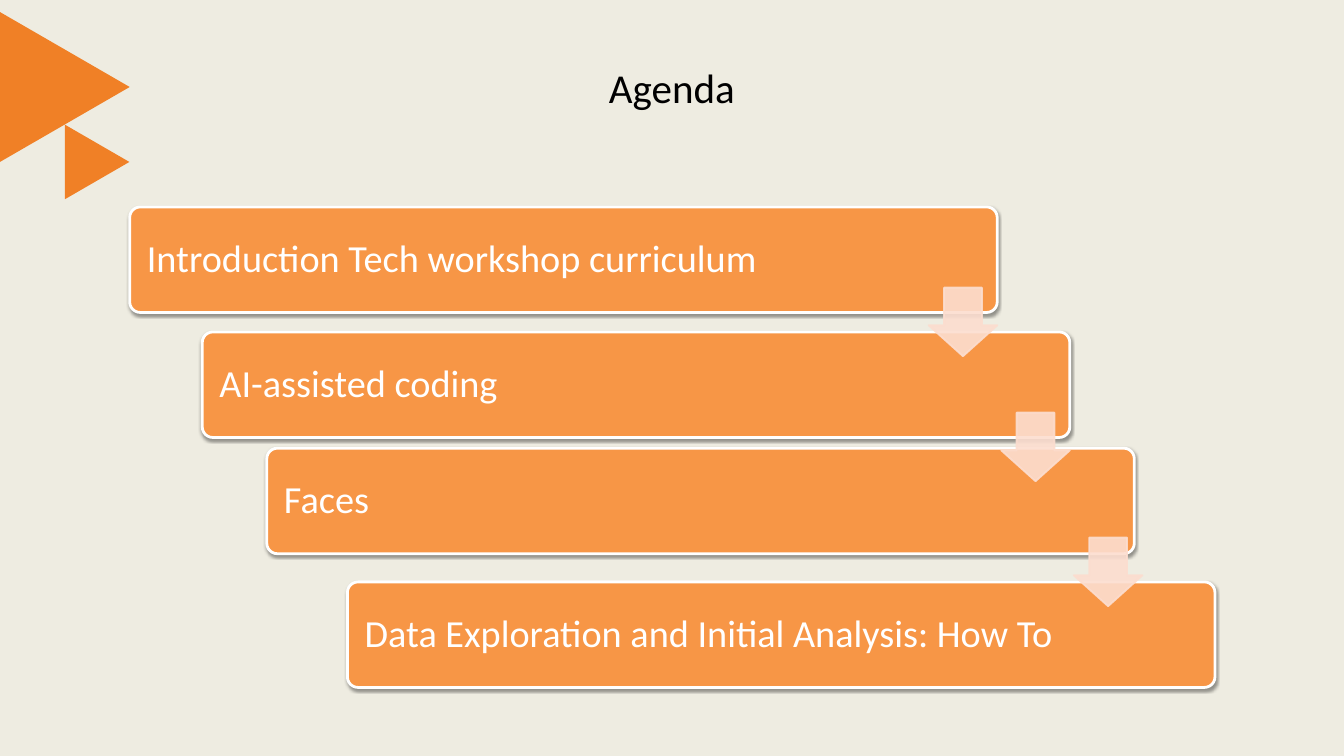
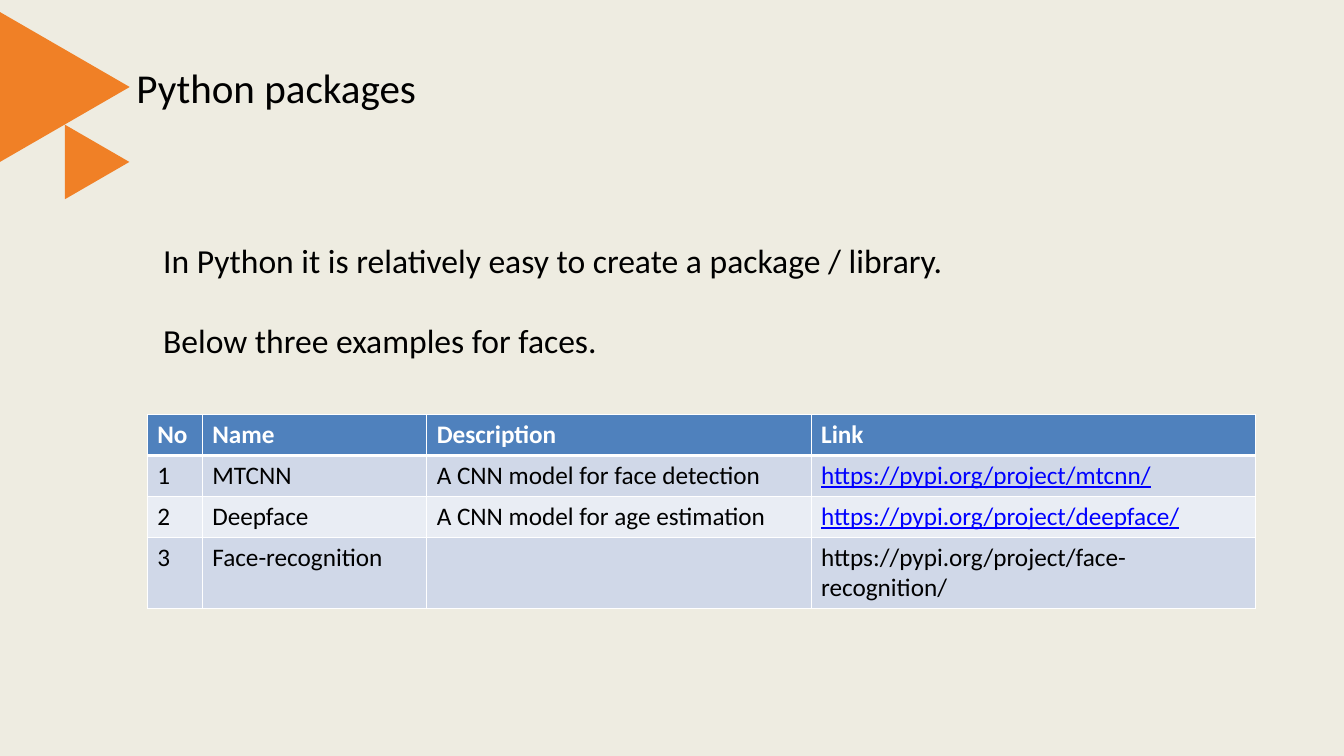
from lxml import etree
from pptx import Presentation
from pptx import util as u
from pptx.dml.color import RGBColor
from pptx.enum import shapes, text
from pptx.oxml import ns

FONT = "Calibri"
BLACK = RGBColor(0x00, 0x00, 0x00)
WHITE = RGBColor(0xFF, 0xFF, 0xFF)
BEIGE = RGBColor(0xEE, 0xEC, 0xE1)
CORNER_ORANGE = RGBColor(0xF0, 0x80, 0x26)
STEP_ORANGE = RGBColor(0xF7, 0x96, 0x46)
ARROW_PEACH = RGBColor(0xFC, 0xDD, 0xCF)
HEADER_BLUE = RGBColor(0x4F, 0x81, 0xBD)
BAND_DARK = RGBColor(0xD0, 0xD8, 0xE8)
BAND_LIGHT = RGBColor(0xE9, 0xED, 0xF4)
LINK_BLUE = RGBColor(0x00, 0x00, 0xFF)

WIDTH, HEIGHT = 20, 11.25
MARGIN = 1.93
CORNER_TRIANGLES = [(-0.15, 0.33, 2.23, 1.93), (0.89, 1.93, 1.11, 0.96)]

# Each agenda step: text and its shift from the regular staircase
AGENDA = [
    ("Introduction Tech workshop curriculum", (0, 0)),
    ("AI-assisted coding", (0, 0)),
    ("Faces", (-0.12, -0.13)),
    ("Data Exploration and Initial Analysis: How To", (0, 0)),
]
STEP_TOP, STEP_WIDTH, STEP_HEIGHT = 3.08, 12.91, 1.57
STEP_RIGHT, STEP_DOWN = 1.08, 1.86
ARROW_SIZE, ARROW_TOP = 1.02, 4.28

INTRODUCTION = [
    "In Python it is relatively easy to create a package / library.",
    "Below three examples for faces.",
]
PACKAGES = [
    ("No", "Name", "Description", "Link"),
    ("1", "MTCNN", "A CNN model for face detection", "https://pypi.org/project/mtcnn/"),
    ("2", "Deepface", "A CNN model for age estimation", "https://pypi.org/project/deepface/"),
    ("3", "Face-recognition", "", "https://pypi.org/project/face-recognition/"),
]
LINKED_ROWS = (1, 2)
COLUMN_WIDTHS = [0.82, 3.34, 5.72, 6.61]
ROW_HEIGHTS = [0.61, 0.61, 0.61, 1.05]


def inches(*lengths):
    return [u.Inches(length) for length in lengths]


def write(frame, lines, size, color=BLACK, bold=False, underline=False,
          align=text.PP_ALIGN.LEFT, gap=0, line_spacing=None):
    """Fill a text frame with one paragraph per line, gap points apart."""
    for index, line in enumerate(lines):
        paragraph = frame.paragraphs[0] if index == 0 else frame.add_paragraph()
        paragraph.alignment = align
        if index:
            paragraph.space_before = u.Pt(gap)
        if line_spacing:
            paragraph.line_spacing = line_spacing
        run = paragraph.add_run()
        run.text = line
        font = run.font
        font.name, font.size, font.bold = FONT, u.Pt(size), bold
        font.underline = underline
        font.color.rgb = color


def add_box(slide, kind, box, fill, line=None, line_width=0, adjustments=()):
    shape = slide.shapes.add_shape(kind, *inches(*box))
    shape.shadow.inherit = False
    shape.fill.solid()
    shape.fill.fore_color.rgb = fill
    if line is None:
        shape.line.fill.background()
    else:
        shape.line.color.rgb = line
        shape.line.width = u.Pt(line_width)
    for index, value in enumerate(adjustments):
        shape.adjustments[index] = value
    return shape


def set_alpha(color_element, percent):
    etree.SubElement(color_element, ns.qn("a:alpha"), val=str(percent * 1000))


def add_soft_shadow(shape):
    effects = shape._element.spPr.find(ns.qn("a:effectLst"))
    shadow = etree.SubElement(effects, ns.qn("a:outerShdw"), blurRad=str(u.Pt(3.1)),
                              dist=str(u.Pt(1.6)), dir="5400000", rotWithShape="0")
    set_alpha(etree.SubElement(shadow, ns.qn("a:srgbClr"), val=str(BLACK)), 38)


def set_borders(cell, bottom_width):
    """Draw white cell borders, ahead of the fill as the schema asks."""
    properties = cell._tc.get_or_add_tcPr()
    for index, side in enumerate(("lnL", "lnR", "lnT", "lnB")):
        width = bottom_width if side == "lnB" else 1
        border = etree.Element(ns.qn("a:" + side), w=str(u.Pt(width)))
        fill = etree.SubElement(border, ns.qn("a:solidFill"))
        etree.SubElement(fill, ns.qn("a:srgbClr"), val=str(WHITE))
        properties.insert(index, border)


def add_slide(presentation, title, align):
    slide = presentation.slides.add_slide(presentation.slide_layouts[5])
    slide.background.fill.solid()
    slide.background.fill.fore_color.rgb = BEIGE
    for box in CORNER_TRIANGLES:
        triangle = add_box(slide, shapes.MSO_SHAPE.ISOSCELES_TRIANGLE, box, CORNER_ORANGE)
        triangle.rotation = 90
    heading = slide.shapes.title
    heading.left, heading.top, heading.width, heading.height = inches(
        MARGIN, 0.67, WIDTH - 2 * MARGIN, 1.25)
    heading.text_frame.vertical_anchor = text.MSO_ANCHOR.MIDDLE
    write(heading.text_frame, [title], 44, align=align)
    return slide


def add_agenda(presentation):
    slide = add_slide(presentation, "Agenda", text.PP_ALIGN.CENTER)
    for index, (label, (shift_x, shift_y)) in enumerate(AGENDA):
        box = (MARGIN + index * STEP_RIGHT + shift_x, STEP_TOP + index * STEP_DOWN + shift_y,
               STEP_WIDTH, STEP_HEIGHT)
        step = add_box(slide, shapes.MSO_SHAPE.ROUNDED_RECTANGLE, box, STEP_ORANGE,
                       WHITE, 3, [0.1])
        add_soft_shadow(step)
        frame = step.text_frame
        frame.word_wrap = True
        frame.margin_left = frame.margin_right = u.Inches(0.21)
        frame.vertical_anchor = text.MSO_ANCHOR.MIDDLE
        write(frame, [label], 41, WHITE, line_spacing=0.9)

    first_left = MARGIN + STEP_WIDTH - ARROW_SIZE
    for index in range(len(AGENDA) - 1):
        box = (first_left + index * STEP_RIGHT, ARROW_TOP + index * STEP_DOWN,
               ARROW_SIZE, ARROW_SIZE)
        arrow = add_box(slide, shapes.MSO_SHAPE.DOWN_ARROW, box, ARROW_PEACH,
                        ARROW_PEACH, 2, [0.55, 0.45])
        for color in arrow._element.spPr.iter(ns.qn("a:srgbClr")):
            set_alpha(color, 90)


def add_packages(presentation):
    slide = add_slide(presentation, "Python packages", text.PP_ALIGN.LEFT)
    table = slide.shapes.add_table(
        len(PACKAGES), len(COLUMN_WIDTHS),
        *inches(2.19, 6.17, sum(COLUMN_WIDTHS), sum(ROW_HEIGHTS))).table
    for column, width in zip(table.columns, COLUMN_WIDTHS):
        column.width = u.Inches(width)
    for row_index, (values, height) in enumerate(zip(PACKAGES, ROW_HEIGHTS)):
        table.rows[row_index].height = u.Inches(height)
        header = row_index == 0
        band = BAND_DARK if row_index % 2 else BAND_LIGHT
        for column_index, value in enumerate(values):
            cell = table.cell(row_index, column_index)
            cell.margin_left = cell.margin_right = u.Inches(0.15)
            cell.margin_top = cell.margin_bottom = u.Inches(0.07)
            cell.fill.solid()
            cell.fill.fore_color.rgb = HEADER_BLUE if header else band
            set_borders(cell, 3 if header else 1)
            linked = row_index in LINKED_ROWS and column_index == len(values) - 1
            color = WHITE if header else LINK_BLUE if linked else BLACK
            if value:
                write(cell.text_frame, [value], 27, color, bold=header, underline=linked)

    introduction = slide.shapes.add_textbox(*inches(2.33, 3.52, 12.33, 1.92))
    introduction.text_frame.word_wrap = True
    write(introduction.text_frame, INTRODUCTION, 36, gap=43)


def main():
    presentation = Presentation()
    presentation.slide_width, presentation.slide_height = inches(WIDTH, HEIGHT)
    add_agenda(presentation)
    add_packages(presentation)
    presentation.save("out.pptx")


if __name__ == "__main__":
    main()
